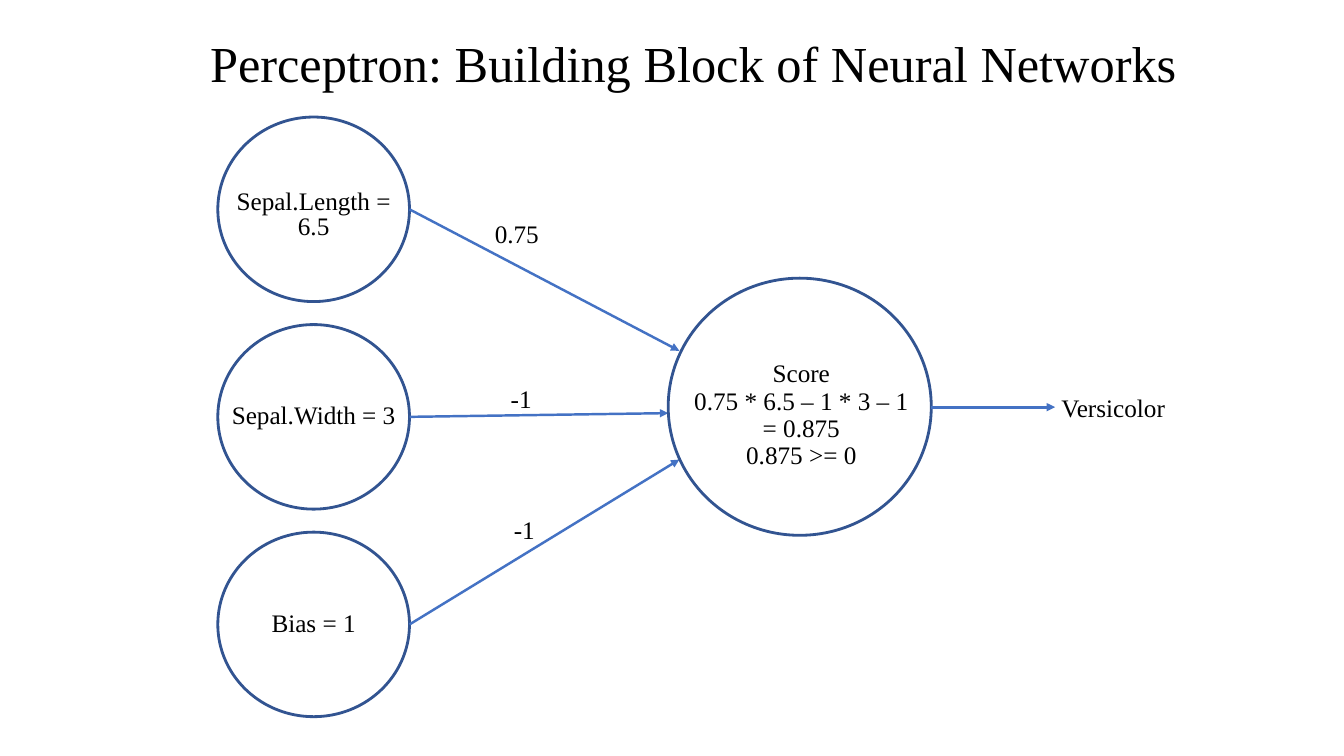
import pptx
import pptx.util
import pptx.dml.color
import pptx.enum.shapes
import pptx.enum.text
import lxml.etree
import pptx.oxml.ns

Cm = pptx.util.Cm
Pt = pptx.util.Pt
ALIGN = pptx.enum.text.PP_ALIGN
ANCHOR = pptx.enum.text.MSO_ANCHOR

COLORS = {"text": "000000", "outline": "325491", "arrow": "4472C4"}


class Diagram:
    """Holds the shared style and the slide being drawn; lengths are in cm."""

    font_name = "Times New Roman"
    text_size = 18
    title_size = 36

    def __init__(self, slide):
        self.slide = slide

    def color(self, name):
        return pptx.dml.color.RGBColor.from_string(COLORS[name])

    def set_text(self, frame, lines, size, align, line_spacing):
        frame.text = "\n".join(lines)
        for paragraph in frame.paragraphs:
            paragraph.alignment = align
            paragraph.line_spacing = line_spacing
            paragraph.space_before = Pt(0)
            paragraph.font.name = self.font_name
            paragraph.font.size = Pt(size)
            paragraph.font.color.rgb = self.color("text")

    def title(self, text, left, top, width, height):
        heading = self.slide.shapes.title
        heading.left, heading.top = Cm(left), Cm(top)
        heading.width, heading.height = Cm(width), Cm(height)
        frame = heading.text_frame
        frame.auto_size = pptx.enum.text.MSO_AUTO_SIZE.NONE
        frame.vertical_anchor = ANCHOR.BOTTOM
        self.set_text(frame, [text], self.title_size, ALIGN.CENTER, 0.9)

    def label(self, lines, left, top, width, height, align=ALIGN.CENTER,
              line_spacing=1.0, anchor=ANCHOR.TOP, wrap=True):
        box = self.slide.shapes.add_textbox(Cm(left), Cm(top), Cm(width), Cm(height))
        frame = box.text_frame
        frame.word_wrap = wrap
        frame.vertical_anchor = anchor
        self.set_text(frame, lines, self.text_size, align, line_spacing)

    def neuron(self, left, top, width, height):
        circle = self.slide.shapes.add_shape(
            pptx.enum.shapes.MSO_SHAPE.OVAL, Cm(left), Cm(top), Cm(width), Cm(height))
        circle.shadow.inherit = False
        circle.fill.background()
        circle.line.color.rgb = self.color("outline")
        circle.line.width = Pt(2)

    def arrow(self, start, end, width=1.75):
        connector = self.slide.shapes.add_connector(
            pptx.enum.shapes.MSO_CONNECTOR.STRAIGHT,
            Cm(start[0]), Cm(start[1]), Cm(end[0]), Cm(end[1]))
        connector.line.color.rgb = self.color("arrow")
        connector.line.width = Pt(width)
        qn = pptx.oxml.ns.qn
        properties = connector.element.spPr
        lxml.etree.SubElement(properties.find(qn("a:ln")), qn("a:tailEnd"), type="triangle")
        lxml.etree.SubElement(properties, qn("a:effectLst"))


def main():
    deck = pptx.Presentation()
    deck.slide_width, deck.slide_height = Cm(33.87), Cm(19.05)
    diagram = Diagram(deck.slides.add_slide(deck.slide_layouts[5]))
    diagram.title("Perceptron: Building Block of Neural Networks", 4.78, 0.38, 25.4, 2.11)

    input_left, input_top, input_width, input_height = 5.49, 2.95, 4.83, 4.65
    input_pitch = 5.23
    # text, label offset, line spacing, arrow end, weight, weight left, top, width
    inputs = [
        ("Sepal.Length = 6.5", 1.75, 0.8, (17.12, 8.84), "0.75", 12.22, 5.38, 1.63),
        ("Sepal.Width = 3", 1.85, 0.9, (16.84, 10.41), "-1", 12.62, 9.53, 1.24),
        ("Bias = 1", 1.85, 0.9, (17.12, 11.58), "-1", 12.7, 12.83, 1.17),
    ]
    for index, (text, offset, spacing, arrow_end, weight,
                weight_left, weight_top, weight_width) in enumerate(inputs):
        top = input_top + index * input_pitch
        diagram.neuron(input_left, top, input_width, input_height)
        diagram.label([text], input_left, top + offset, input_width, 1.5,
                      line_spacing=spacing)
        diagram.arrow((input_left + input_width, top + input_height / 2), arrow_end)
        diagram.label([weight], weight_left, weight_top, weight_width, 1.02,
                      align=ALIGN.LEFT, wrap=False)

    diagram.neuron(16.84, 7.01, 6.63, 6.48)
    diagram.label(["Score", "0.75 * 6.5 – 1 * 3 – 1", "= 0.875", "0.875 >= 0"],
                  16.64, 8.97, 7.11, 3, line_spacing=0.9, anchor=ANCHOR.BOTTOM)
    diagram.arrow((23.47, 10.26), (26.59, 10.26), width=2)
    diagram.label(["Versicolor"], 25.4, 9.75, 5.31, 1.02)

    deck.save("out.pptx")


if __name__ == "__main__":
    main()
